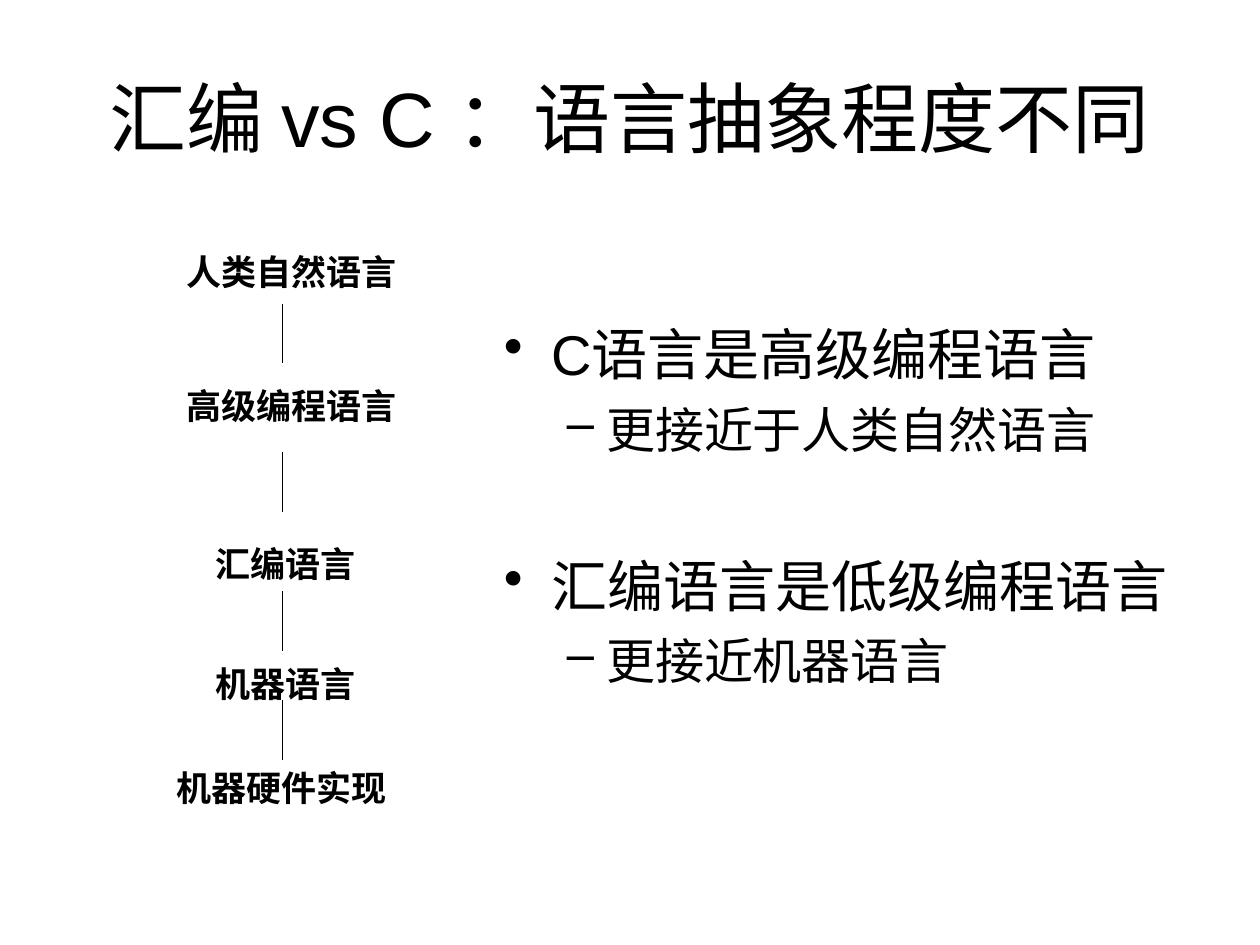
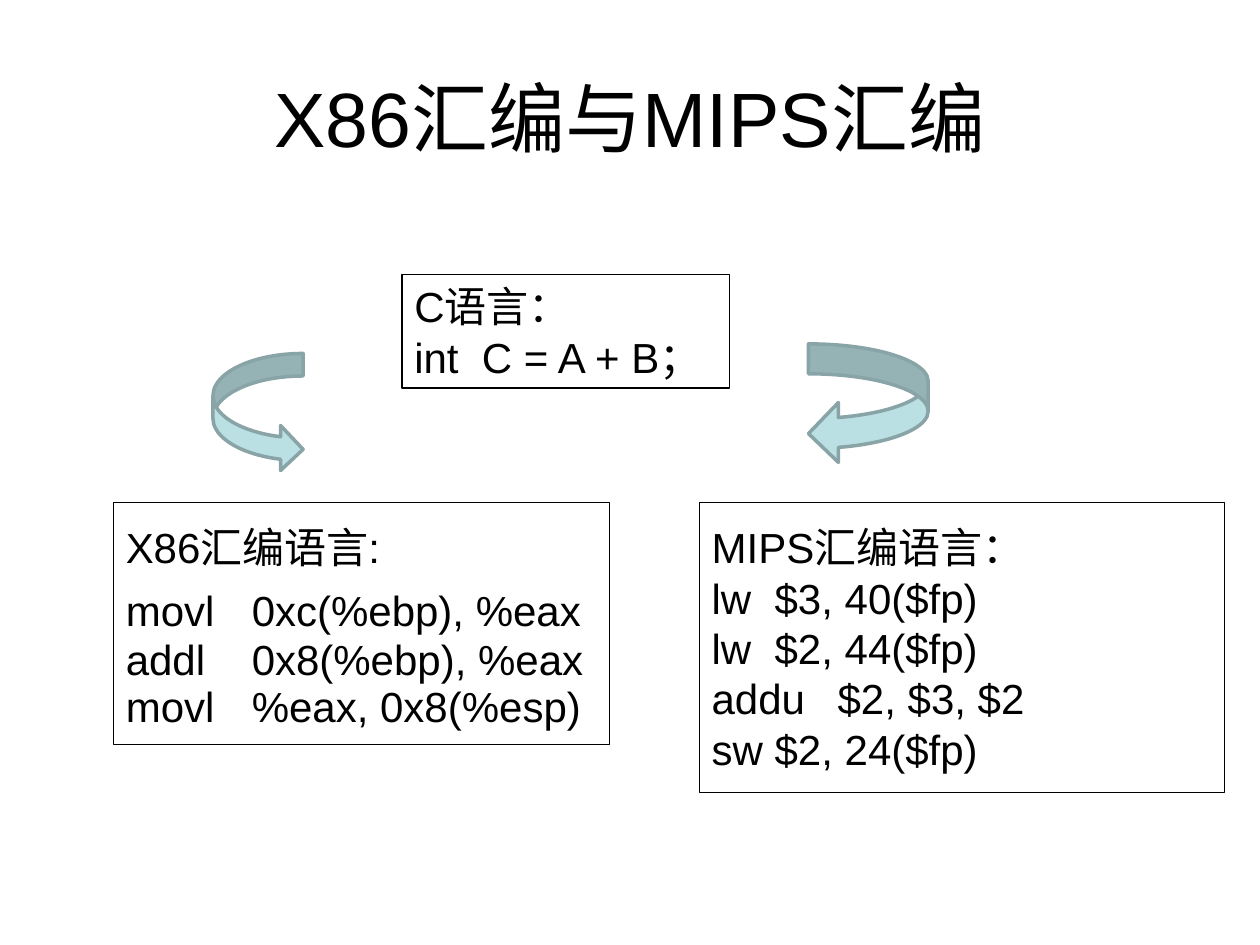
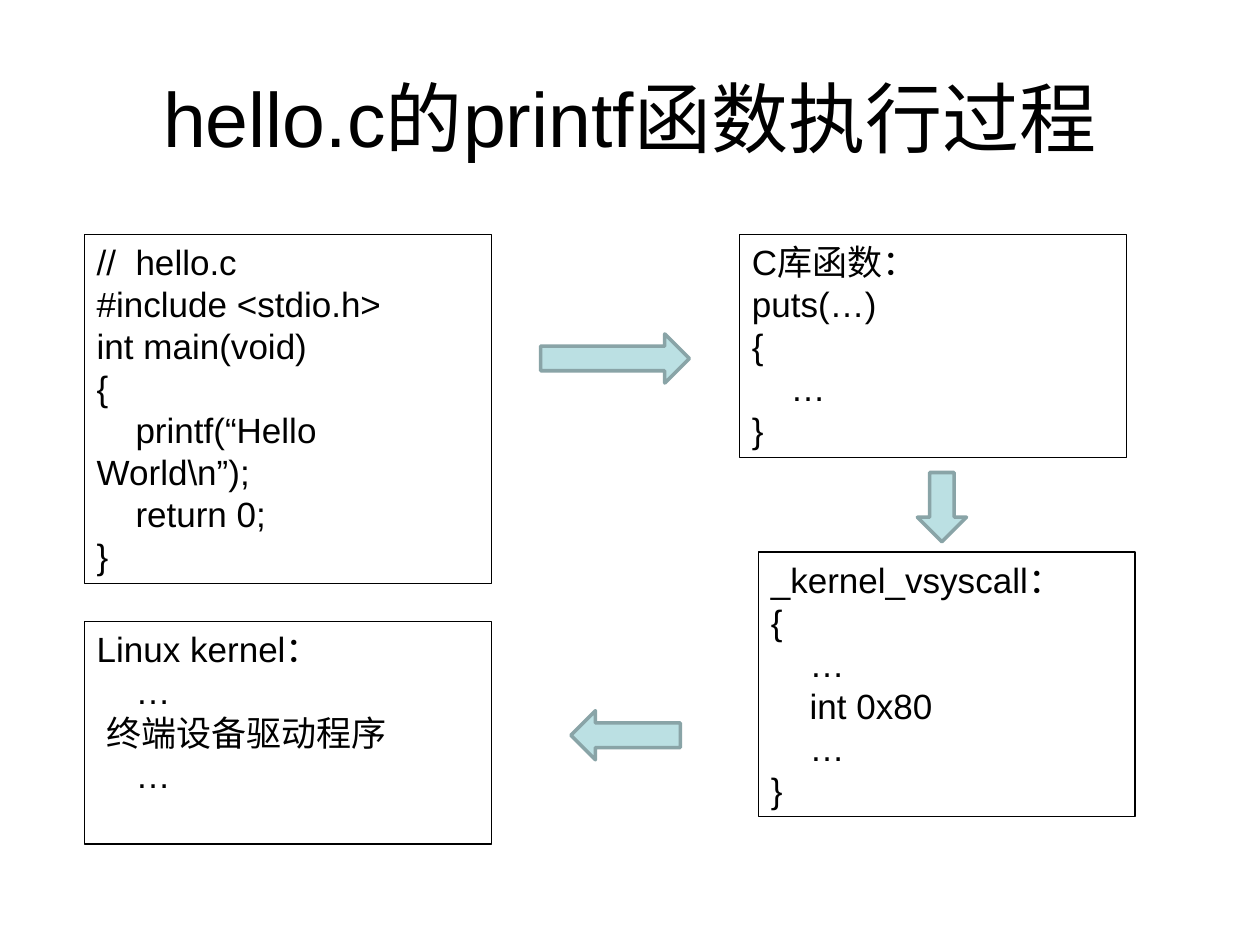
from lxml import etree
from pptx import Presentation
from pptx.dml.color import RGBColor
from pptx.enum.shapes import MSO_CONNECTOR, MSO_SHAPE as SHAPE
from pptx.enum.text import MSO_ANCHOR as ANCHOR, PP_ALIGN as ALIGN
from pptx.oxml.ns import qn
from pptx.util import Pt

FONT = "Arial"
COLORS = {"ink": "000000", "arrow": "BBE0E3", "arrow_edge": "89A4A7"}
TITLE_BOX = (36, 21.6, 648, 90)

LEVELS_TITLE = "汇编 vs C ：语言抽象程度不同"
LEVELS = [
    ("人类自然语言", (99.4, 139.7, 136, 31.7)),
    ("高级编程语言", (99.4, 216, 136, 31.7)),
    ("汇编语言", (115.9, 306.7, 96.5, 31.7)),
    ("机器语言", (115.9, 375.1, 96.5, 31.7)),
    ("机器硬件实现", (93.6, 434.2, 141.8, 31.7)),
]
LINK_X, LINK_LENGTH = 161.4, 34
LINK_TOPS = [173.5, 258.5, 338, 400.3]
MAIN = dict(size=32, bullet="•", margin=27, hang=27)
SUB = dict(size=28, bullet="–", margin=58.5, hang=22.5, before=7)
POINTS_BOX = (280.8, 179.3, 402.5, 278)
POINTS = [
    ("C语言是高级编程语言", MAIN),
    ("更接近于人类自然语言", SUB),
    ("汇编语言是低级编程语言", {**MAIN, "before": 53}),
    ("更接近机器语言", SUB),
]

ASM_TITLE = "X86汇编与MIPS汇编"
ASM_BOXES = [
    ((229.7, 157, 187.2, 64.8), 3.6, ["C语言：", "int  C = A + B；"]),
    ((64.8, 287.3, 283.7, 138.2), 10.8, [
        "X86汇编语言:",
        ("movl\t0xc(%ebp), %eax", dict(spacing=0.7, before=15)),
        ("addl\t0x8(%ebp), %eax", dict(spacing=0.4, before=15)),
        ("movl\t%eax, 0x8(%esp)", dict(spacing=0.4, before=15)),
    ]),
    ((399.6, 287.3, 300.2, 165.6), 10.8, [
        "MIPS汇编语言：",
        "lw\t$3, 40($fp)",
        "lw\t$2, 44($fp)",
        "addu\t$2, $3, $2",
        "sw\t$2, 24($fp)",
    ]),
]
ASM_ARROWS = [
    (SHAPE.CURVED_RIGHT_ARROW, (121.7, 202, 51.5, 67.7)),
    (SHAPE.CURVED_LEFT_ARROW, (462, 196.5, 68.4, 68.4)),
]

PRINTF_TITLE = "hello.c的printf函数执行过程"
PRINTF_BOXES = [
    ((48.2, 134, 232.6, 199.4), [
        "//  hello.c",
        "#include <stdio.h>",
        "int main(void)",
        "{",
        "    printf(“Hello World\\n”);",
        "    return 0;",
        "}",
    ]),
    ((422.6, 134, 221, 127.4), ["C库函数：", "puts(…)", "{", "    …", "}"]),
    ((433.4, 315.4, 215.3, 151.2),
     ["_kernel_vsyscall：", "{", "    …", "    int 0x80", "    …", "}"]),
    ((48.2, 355, 232.6, 127.4), [
        "Linux kernel：",
        ("…", dict(margin=22.2)),
        ("终端设备驱动程序", dict(margin=5.6)),
        ("…", dict(margin=22.2)),
    ]),
]
PRINTF_ARROWS = [
    (SHAPE.RIGHT_ARROW, (308.9, 190.8, 85, 28.1)),
    (SHAPE.DOWN_ARROW, (524.2, 270, 28.1, 39.6)),
    (SHAPE.LEFT_ARROW, (326.2, 406.1, 62.6, 28.1)),
]


def rgb(name):
    return RGBColor.from_string(COLORS[name])


def pts(box):
    return [Pt(v) for v in box]


def format_paragraph(p, size=20, bold=False, align=ALIGN.LEFT, before=0,
                     spacing=None, margin=0, hang=0, bullet=None):
    pPr = p._p.get_or_add_pPr()
    if margin:
        pPr.set("marL", str(Pt(margin)))
        pPr.set("indent", str(-Pt(hang)))
    if bullet:
        etree.SubElement(pPr, qn("a:buChar")).set("char", bullet)
    p.alignment = align
    p.space_before = Pt(before)
    if spacing:
        p.line_spacing = spacing
    for r in p.runs:
        r.font.name, r.font.size, r.font.bold = FONT, Pt(size), bold
        r.font.color.rgb = rgb("ink")


def add_text(slide, box, lines, outline=False, inset=3.6, anchor=ANCHOR.TOP, **fmt):
    if outline:
        sp = slide.shapes.add_shape(SHAPE.RECTANGLE, *pts(box))
        sp.shadow.inherit = False
        sp.fill.background()
        sp.line.color.rgb, sp.line.width = rgb("ink"), Pt(0.75)
    else:
        sp = slide.shapes.add_textbox(*pts(box))
    tf = sp.text_frame
    tf.word_wrap, tf.vertical_anchor = True, anchor
    tf.margin_left = tf.margin_right = Pt(7.2)
    tf.margin_top = tf.margin_bottom = Pt(inset)
    for i, line in enumerate(lines):
        text, own = (line, {}) if isinstance(line, str) else line
        p = tf.add_paragraph() if i else tf.paragraphs[0]
        p.add_run().text = text
        format_paragraph(p, **{**fmt, **own})


def add_arrow(slide, kind, box):
    sp = slide.shapes.add_shape(kind, *pts(box))
    sp.shadow.inherit = False
    sp.fill.solid()
    sp.fill.fore_color.rgb = rgb("arrow")
    sp.line.color.rgb, sp.line.width = rgb("arrow_edge"), Pt(2)


def add_link(slide, top):
    ends = pts((LINK_X, top, LINK_X, top + LINK_LENGTH))
    cx = slide.shapes.add_connector(MSO_CONNECTOR.STRAIGHT, *ends)
    cx.line.color.rgb, cx.line.width = rgb("ink"), Pt(0.75)
    etree.SubElement(cx._element.spPr, qn("a:effectLst"))


def add_slide(prs, title):
    slide = prs.slides.add_slide(prs.slide_layouts[6])
    add_text(slide, TITLE_BOX, [title], anchor=ANCHOR.MIDDLE, size=44, align=ALIGN.CENTER)
    return slide


def main():
    prs = Presentation()
    prs.slide_width, prs.slide_height = Pt(720), Pt(540)

    slide = add_slide(prs, LEVELS_TITLE)
    add_text(slide, POINTS_BOX, POINTS)
    for name, box in LEVELS:
        add_text(slide, box, [name], bold=True)
    for top in LINK_TOPS:
        add_link(slide, top)

    slide = add_slide(prs, ASM_TITLE)
    for box, inset, lines in ASM_BOXES:
        add_text(slide, box, lines, outline=True, inset=inset, size=24)
    for kind, box in ASM_ARROWS:
        add_arrow(slide, kind, box)

    slide = add_slide(prs, PRINTF_TITLE)
    for box, lines in PRINTF_BOXES:
        add_text(slide, box, lines, outline=True)
    for kind, box in PRINTF_ARROWS:
        add_arrow(slide, kind, box)

    prs.save("out.pptx")


if __name__ == "__main__":
    main()
